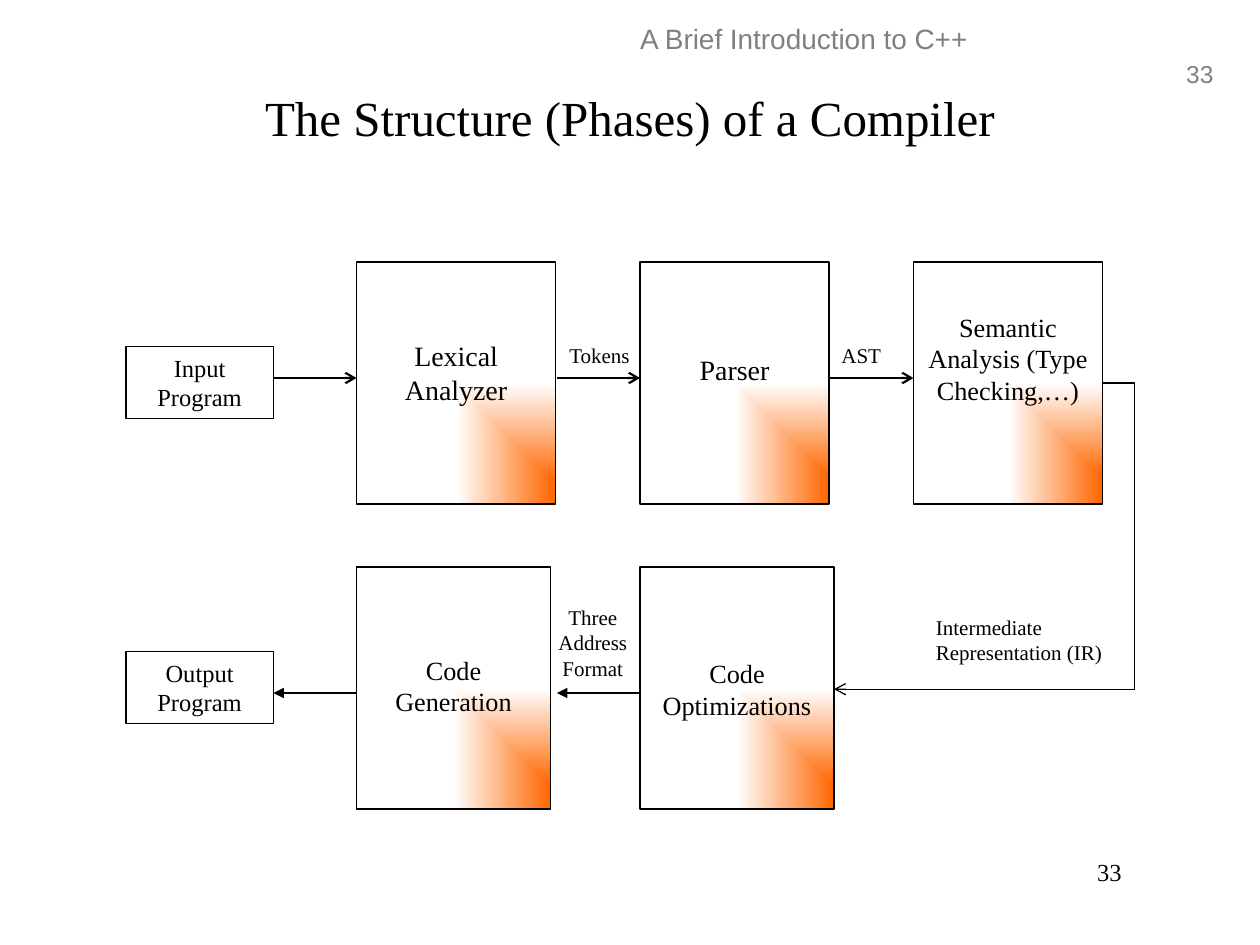
import lxml.etree
import pptx
import pptx.dml.color
import pptx.enum.dml
import pptx.enum.shapes
import pptx.enum.text
import pptx.oxml
import pptx.oxml.ns
import pptx.util
from dataclasses import dataclass

Inches = pptx.util.Inches
Align = pptx.enum.text.PP_ALIGN
qn = pptx.oxml.ns.qn


@dataclass(frozen=True)
class Theme:
    ink: str = "000000"
    muted: str = "808080"
    accent: str = "FF6600"
    paper: str = "FFFFFF"
    body_font: str = "Times New Roman"
    header_font: str = "Arial"
    title_size: int = 28
    large_size: int = 16
    phase_size: int = 15
    terminal_size: int = 14
    label_size: int = 12
    outline: float = 0.75
    arrow: float = 1.25


def color(value):
    return pptx.dml.color.RGBColor.from_string(value)


def apply(target, values):
    for name, value in values.items():
        setattr(target, name, value)


class Diagram:
    def __init__(self, slide, theme):
        self.slide = slide
        self.theme = theme

    def fill_text(self, shape, text, size, align=Align.CENTER, wrap=True, middle=False,
                  font=None, ink=None):
        anchor = pptx.enum.text.MSO_ANCHOR
        frame = shape.text_frame
        apply(frame, {
            "text": text,
            "word_wrap": wrap,
            "vertical_anchor": anchor.MIDDLE if middle else anchor.TOP,
        })
        for paragraph in frame.paragraphs:
            paragraph.alignment = align
            apply(paragraph.font, {
                "name": font or self.theme.body_font,
                "size": pptx.util.Pt(size),
            })
            paragraph.font.color.rgb = color(ink or self.theme.ink)

    def text(self, box, text, size, **style):
        shape = self.slide.shapes.add_textbox(*map(Inches, box))
        self.fill_text(shape, text, size, **style)

    def rectangle(self, box):
        shape = self.slide.shapes.add_shape(
            pptx.enum.shapes.MSO_SHAPE.RECTANGLE, *map(Inches, box))
        shape.shadow.inherit = False
        shape.fill.background()
        shape.line.color.rgb = color(self.theme.ink)
        shape.line.width = pptx.util.Pt(self.theme.outline)
        return shape

    def terminal(self, box, text):
        self.fill_text(self.rectangle(box), text, self.theme.terminal_size)

    def phase(self, box, text, text_top, text_height, size):
        shape = self.rectangle(box)
        shape.fill.gradient()
        stops = shape.fill.gradient_stops
        for stop, position, value in zip(
                stops, (0, 1), (self.theme.accent, self.theme.paper)):
            stop.position = position
            stop.color.rgb = color(value)
        gradient = shape._element.spPr.find(qn("a:gradFill"))
        gradient.remove(gradient.find(qn("a:lin")))
        spread = lxml.etree.SubElement(gradient, qn("a:path"), {"path": "rect"})
        lxml.etree.SubElement(spread, qn("a:fillToRect"), {"l": "100000", "t": "100000"})
        left, top, width, height = box
        self.text((left, text_top, width, text_height), text, size)

    def connector(self, start, end, width, head=None, tail=None, bend=None):
        kinds = pptx.enum.shapes.MSO_CONNECTOR
        kind = kinds.STRAIGHT if bend is None else kinds.ELBOW
        line = self.slide.shapes.add_connector(kind, *map(Inches, (*start, *end)))
        line.line.color.rgb = color(self.theme.ink)
        line.line.width = pptx.util.Pt(width)
        properties = line._element.spPr
        outline = properties.find(qn("a:ln"))
        for tag, arrowhead in (("a:headEnd", head), ("a:tailEnd", tail)):
            if arrowhead:
                lxml.etree.SubElement(outline, qn(tag), {"type": arrowhead})
        lxml.etree.SubElement(properties, qn("a:effectLst"))
        if bend is not None:
            geometry = properties.find(qn("a:prstGeom"))
            guides = geometry.find(qn("a:avLst"))
            if guides is None:
                guides = lxml.etree.SubElement(geometry, qn("a:avLst"))
            lxml.etree.SubElement(guides, qn("a:gd"), {
                "name": "adj1", "fmla": f"val {round(bend * 100000)}"})


def main():
    presentation = pptx.Presentation()
    apply(presentation, {"slide_width": Inches(10), "slide_height": Inches(7.5)})
    slide = presentation.slides.add_slide(presentation.slide_layouts[6])
    theme = Theme()
    diagram = Diagram(slide, theme)

    header = {"font": theme.header_font, "ink": theme.muted}
    diagram.text((9.29, 0.42, 0.44, 0.33), "33", theme.terminal_size,
                 align=Align.RIGHT, wrap=False, **header)
    diagram.text((3.19, 0.12, 6.38, 0.4), "A Brief Introduction to C++",
                 theme.large_size, **header)
    diagram.text((0.5, 0.3, 9, 1.25), "The Structure (Phases) of a Compiler",
                 theme.title_size, middle=True)

    upper, lower, phase_height = 2.08, 4.5, 1.92
    phases = (
        (2.83, lower, 1.54, "Code\nGeneration", 5.14, 0.61, theme.phase_size),
        (5.08, lower, 1.54, "Code Optimizations", 5.17, 0.61, theme.phase_size),
        (7.25, upper, 1.5, "Semantic Analysis (Type Checking,…)", 2.42, 0.86,
         theme.phase_size),
        (2.83, upper, 1.58, "Lexical Analyzer", 2.64, 0.61, theme.large_size),
        (5.08, upper, 1.5, "Parser", 2.75, 0.37, theme.large_size),
    )
    for left, top, width, text, text_top, text_height, size in phases:
        diagram.phase((left, top, width, phase_height), text, text_top, text_height, size)

    for top, text in ((2.75, "Input Program"), (5.17, "Output\nProgram")):
        diagram.terminal((1, top, 1.17, 0.57), text)

    for left, right in ((2.17, 2.83), (4.42, 5.08), (6.58, 7.25)):
        diagram.connector((left, 3), (right, 3), theme.arrow, tail="arrow")
    for left, right in ((2.17, 2.83), (4.42, 5.08)):
        diagram.connector((left, 5.5), (right, 5.5), theme.arrow, head="triangle")
    diagram.connector((8.75, 3.04), (6.62, 5.47), theme.outline, tail="arrow", bend=-0.12)

    labels = (
        ((4.42, 2.67, 0.69, 0.3), "Tokens", Align.LEFT, False),
        ((6.58, 2.67, 0.53, 0.3), "AST", Align.LEFT, False),
        ((7.33, 4.83, 1.58, 0.5), "Intermediate Representation (IR)", Align.LEFT, True),
        ((4.33, 4.75, 0.75, 0.71), "Three\nAddress\nFormat", Align.CENTER, True),
    )
    for box, text, align, wrap in labels:
        diagram.text(box, text, theme.label_size, align=align, wrap=wrap)

    diagram.text((6.92, 6.75, 2.08, 0.5), "33", theme.terminal_size, align=Align.RIGHT)
    presentation.save("out.pptx")


if __name__ == "__main__":
    main()
